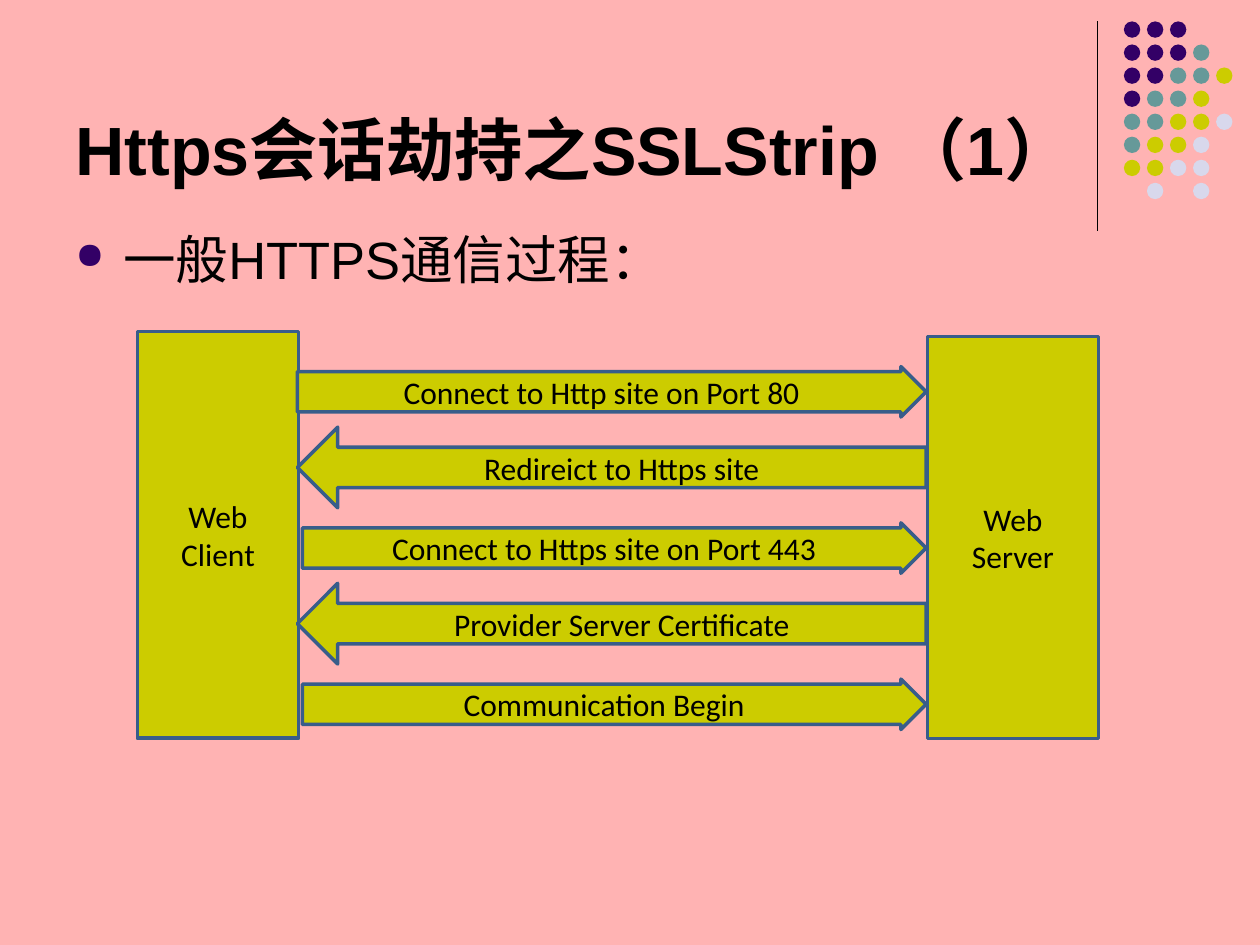
from lxml import etree
from pptx import Presentation
from pptx.dml.color import RGBColor
from pptx.enum.shapes import MSO_CONNECTOR, MSO_SHAPE
from pptx.enum.text import MSO_ANCHOR, PP_ALIGN
from pptx.oxml.ns import qn
from pptx.util import Inches, Pt

RECT, PROC = MSO_SHAPE.RECTANGLE, MSO_SHAPE.FLOWCHART_PROCESS
RIGHT, LEFT = MSO_SHAPE.RIGHT_ARROW, MSO_SHAPE.LEFT_ARROW
DOT, LINE = MSO_SHAPE.OVAL, MSO_CONNECTOR.STRAIGHT
TOP, MID, LOW = MSO_ANCHOR.TOP, MSO_ANCHOR.MIDDLE, MSO_ANCHOR.BOTTOM

PINK = RGBColor(0xFF, 0xB3, 0xB3)
BLACK = RGBColor(0x00, 0x00, 0x00)
BLUE = RGBColor(0x38, 0x5D, 0x8A)
LIME = RGBColor(0xCC, 0xCC, 0x00)
PLUM = RGBColor(0x33, 0x00, 0x66)
TEAL = RGBColor(0x66, 0x99, 0x99)
PALE = RGBColor(0xD8, 0xD8, 0xEC)

# Dot pattern, one letter per dot
HUES = {"P": PLUM, "T": TEAL, "L": LIME, "W": PALE}
DOTS = ["PPP", "PPPT", "PPTTL", "PTTL", "TTLLW", "TLLW", "LLWW", " W W"]
DOT_X, DOT_Y, DOT_GAP, DOT_SIZE = 8.92, 0.17, 0.183, 0.13

# Message arrows: each request and reply pair takes one step down
STEPS = [
    "Connect to Http site on Port 80",
    "Redireict to Https site",
    "Connect to Https site on Port 443",
    "Provider Server Certificate",
    "Communication Begin",
]
FIRST_Y, REPLY_GAP, PAIR_GAP = 3.11, 0.6, 1.24
ARROW_X, ARROW_END = 2.36, 7.35


def set_font(para, name, size, bold=False):
    font = para.font
    font.name, font.size, font.bold = name, Pt(size), bold
    font.color.rgb = BLACK


def add_text(slide, box, text, size, anchor, bold=False):
    frame = slide.shapes.add_textbox(*map(Inches, box)).text_frame
    frame.word_wrap = True
    frame.vertical_anchor = anchor
    para = frame.paragraphs[0]
    para.text = text
    set_font(para, "Arial", size, bold)
    return para


def add_bullet(para, indent):
    props = para._p.get_or_add_pPr()
    props.set("marL", str(Inches(indent)))
    props.set("indent", str(-Inches(indent)))
    hue = etree.Element(qn("a:buClr"))
    etree.SubElement(hue, qn("a:srgbClr"), val=str(PLUM))
    size = etree.Element(qn("a:buSzPct"), val="70000")
    mark = etree.Element(qn("a:buChar"), char="●")
    for at, item in enumerate((hue, size, mark)):
        props.insert(at, item)


def add_shape(slide, kind, box, fill):
    shape = slide.shapes.add_shape(kind, *map(Inches, box))
    shape.shadow.inherit = False
    shape.fill.solid()
    shape.fill.fore_color.rgb = fill
    return shape


def add_block(slide, kind, box, text):
    shape = add_shape(slide, kind, box, LIME)
    shape.line.color.rgb = BLUE
    shape.line.width = Pt(2)
    frame = shape.text_frame
    frame.word_wrap = True
    frame.vertical_anchor = MID
    frame.text = text
    for para in frame.paragraphs:
        para.alignment = PP_ALIGN.CENTER
        set_font(para, "Calibri", 18)
    return shape


def add_arrow(slide, step, text):
    pair, reply = divmod(step, 2)
    mid = FIRST_Y + pair * PAIR_GAP + reply * REPLY_GAP
    left = ARROW_X if reply or not pair else ARROW_X + 0.04
    high = 0.64 if reply else 0.4
    box = (left, mid - high / 2, ARROW_END - left, high)
    arrow = add_block(slide, LEFT if reply else RIGHT, box, text)
    arrow.adjustments[0] = 0.5 if reply else 0.8
    arrow.adjustments[1] = 0.5


def add_decor(slide):
    rule = slide.shapes.add_connector(
        LINE, Inches(8.71), Inches(0.17), Inches(8.71), Inches(1.83))
    rule.line.color.rgb = BLACK
    rule.line.width = Pt(0.75)
    etree.SubElement(rule._element.spPr, qn("a:effectLst"))
    for row, marks in enumerate(DOTS):
        for col, mark in enumerate(marks):
            if mark in HUES:
                box = (DOT_X + col * DOT_GAP, DOT_Y + row * DOT_GAP,
                       DOT_SIZE, DOT_SIZE)
                add_shape(slide, DOT, box, HUES[mark]).line.fill.background()


def main():
    deck = Presentation()
    deck.slide_width, deck.slide_height = Inches(10), Inches(7.5)
    slide = deck.slides.add_slide(deck.slide_layouts[6])
    slide.background.fill.solid()
    slide.background.fill.fore_color.rgb = PINK
    add_decor(slide)

    # Heading and lead line
    add_text(slide, (0.5, 0.13, 8.25, 1.42),
             "Https会话劫持之SSLStrip （1）", 39, LOW, True)
    lead = add_text(slide, (0.5, 1.75, 5.52, 1.09),
                    "一般HTTPS通信过程：", 30, TOP)
    add_bullet(lead, 0.38)

    # The two ends and the messages between them
    add_block(slide, RECT, (1.09, 2.63, 1.28, 3.23), "Web\nClient")
    add_block(slide, PROC, (7.36, 2.67, 1.36, 3.19), "Web\nServer")
    for step, text in enumerate(STEPS):
        add_arrow(slide, step, text)
    deck.save("out.pptx")


if __name__ == "__main__":
    main()
